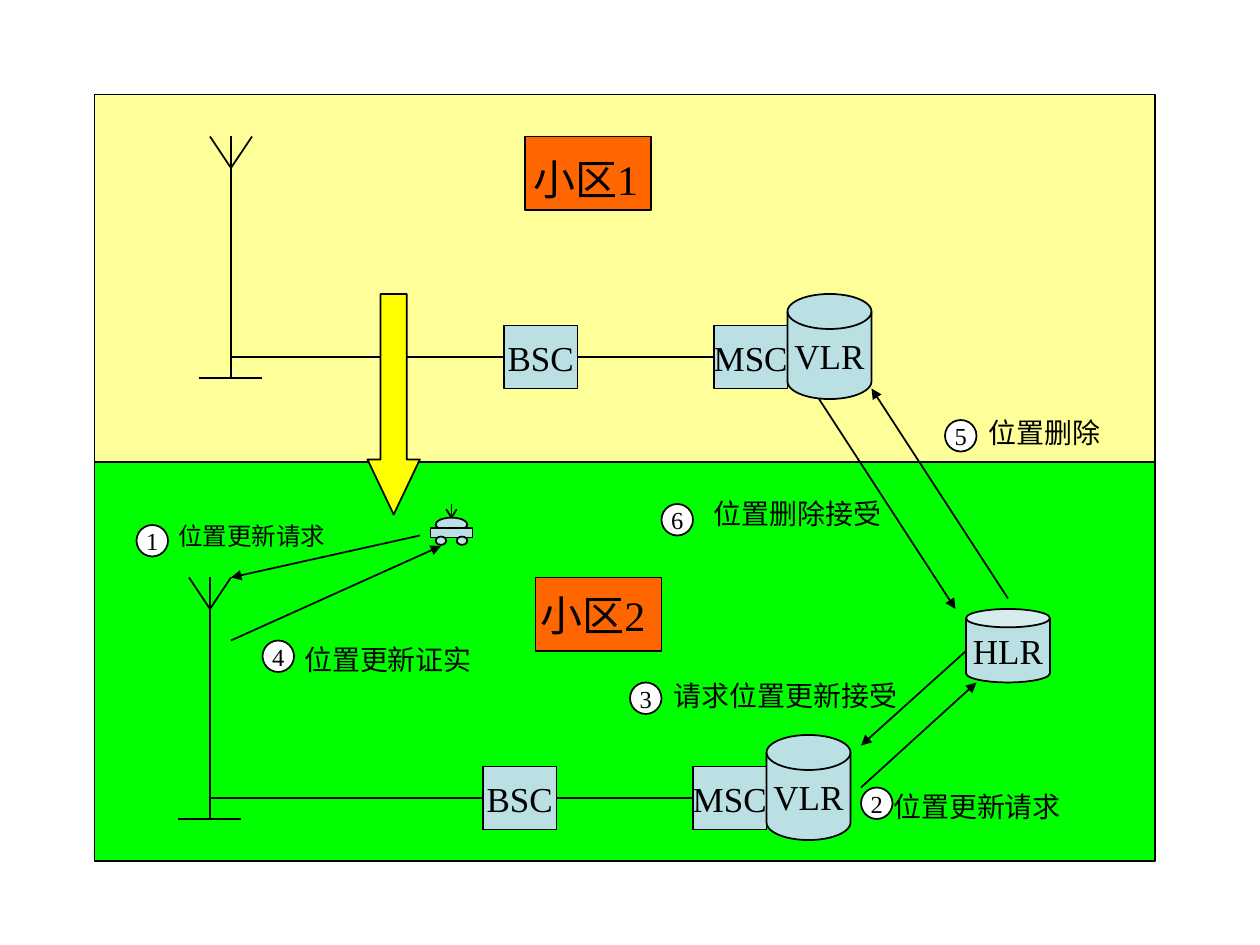
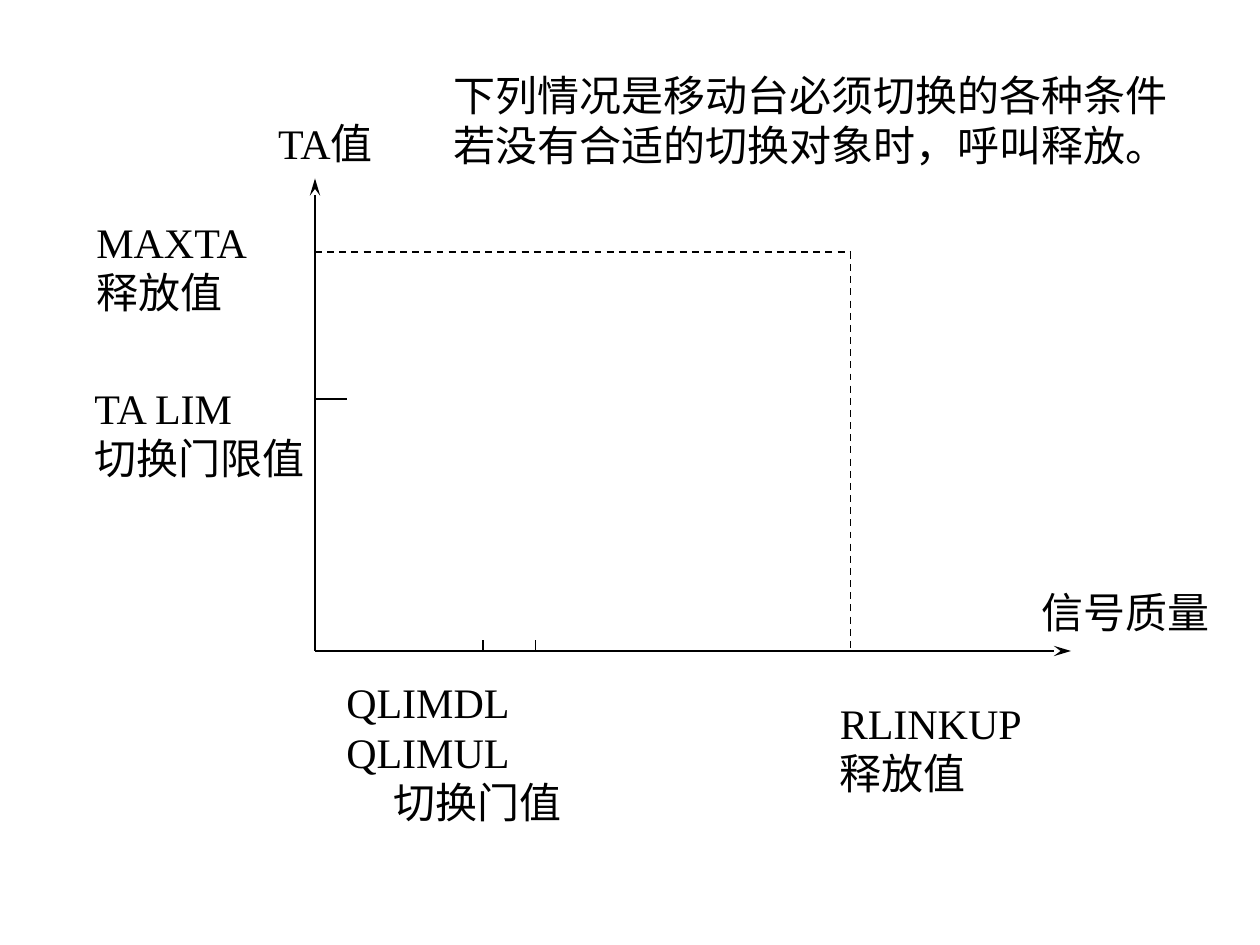
from lxml import etree
from pptx import Presentation
from pptx.dml.color import RGBColor
from pptx.enum.dml import MSO_LINE
from pptx.enum.shapes import MSO_CONNECTOR, MSO_SHAPE
from pptx.enum.text import MSO_ANCHOR, MSO_AUTO_SIZE, PP_ALIGN
from pptx.oxml.ns import qn
from pptx.util import Pt

PX = 7620
FONT = "Times New Roman"
BLACK = RGBColor(0x00, 0x00, 0x00)
WHITE = RGBColor(0xFF, 0xFF, 0xFF)
PALE_YELLOW = RGBColor(0xFF, 0xFF, 0x99)
GREEN = RGBColor(0x00, 0xFF, 0x00)
ORANGE = RGBColor(0xFF, 0x66, 0x00)
YELLOW = RGBColor(0xFF, 0xFF, 0x00)
PALE_BLUE = RGBColor(0xBB, 0xE0, 0xE3)

RECT = MSO_SHAPE.RECTANGLE
OVAL = MSO_SHAPE.OVAL
CAN = MSO_SHAPE.CAN
DISK = MSO_SHAPE.FLOWCHART_MAGNETIC_DISK
DOWN_ARROW = MSO_SHAPE.DOWN_ARROW
STRAIGHT = MSO_CONNECTOR.STRAIGHT
DASH = MSO_LINE.DASH
CENTER = PP_ALIGN.CENTER
LEFT = PP_ALIGN.LEFT
MIDDLE = MSO_ANCHOR.MIDDLE
FIT_TEXT = MSO_AUTO_SIZE.SHAPE_TO_FIT_TEXT
BLANK_LAYOUT = 6
SIGNAL_HEAD = {"type": "triangle"}
AXIS_HEAD = {"type": "stealth", "len": "lg"}

STEPS = [
    ("1", (130, 500), "位置更新请求", (158, 490, 164, 41), 14, (400, 510, 220, 550)),
    ("2", (820, 750), "位置更新请求", (839, 746, 184, 44), 16, (820, 750, 930, 650)),
    ("3", (600, 650), "请求位置更新接受", (630, 640, 238, 44), 16, (920, 620, 820, 710)),
    ("4", (250, 610), "位置更新证实", (278, 606, 184, 44), 16, (220, 610, 420, 520)),
    ("5", (900, 400), "位置删除", (930, 390, 131, 44), 16, (960, 570, 830, 370)),
    ("6", (630, 480), "位置删除接受", (668, 467, 185, 44), 16, (780, 380, 910, 580)),
]
AXIS_LABELS = [
    (["TA值"], (253, 106, 128, 60), False),
    (["MAXTA", "释放值"], (80, 200, 192, 108), True),
    (["TA LIM", "切换门限值"], (78, 358, 225, 156), True),
    (["RLINKUP", "释放值"], (788, 658, 198, 108), False),
    (["信号质量"], (980, 553, 184, 60), False),
]


def emu(lengths):
    """Turn px lengths into EMU."""
    return [length * PX for length in lengths]


def write(frame, lines, size, align=LEFT, wrap=False):
    """Fill a text frame with one paragraph per line."""
    frame.word_wrap = wrap
    frame.text = "\n".join(lines)
    for paragraph in frame.paragraphs:
        paragraph.alignment = align
        paragraph.font.name = FONT
        paragraph.font.size = Pt(size)
        paragraph.font.color.rgb = BLACK


def add_label(shapes, lines, box, size=24, wrap=False):
    """Add a text box that fits its text and return its frame."""
    frame = shapes.add_textbox(*emu(box)).text_frame
    write(frame, lines, size, wrap=wrap)
    frame.auto_size = FIT_TEXT
    return frame


def add_block(shapes, kind, box, fill, text="", size=20):
    """Add an outlined shape, with centred text if given."""
    block = shapes.add_shape(kind, *emu(box))
    block.shadow.inherit = False
    block.fill.solid()
    block.fill.fore_color.rgb = fill
    block.line.color.rgb = BLACK
    block.line.width = Pt(1)
    if text:
        block.text_frame.vertical_anchor = MIDDLE
        write(block.text_frame, [text], size, CENTER)
    return block


def add_line(shapes, ends, arrowhead=None, dash=None):
    """Add a black line with an optional arrowhead at its end."""
    connector = shapes.add_connector(STRAIGHT, *emu(ends))
    connector.line.color.rgb = BLACK
    connector.line.width = Pt(1)
    if dash:
        connector.line.dash_style = dash
    if arrowhead:
        outline = connector.line._get_or_add_ln()
        etree.SubElement(outline, qn("a:tailEnd"), arrowhead)
    etree.SubElement(connector._element.spPr, qn("a:effectLst"))


def add_aerial(shapes, x, top, spread, arm_top, joint):
    """Add two arms that meet on a mast at x."""
    for side in (-spread, spread):
        add_line(shapes, (x + side, top + arm_top, x, top + joint))


def add_cell(shapes, box, fill, sign_left, sign_top):
    """Add a cell's area and the plate for its name."""
    left, top, _, _ = box
    add_block(shapes, RECT, box, fill)
    add_block(shapes, RECT, (left + sign_left, top + sign_top, 120, 70), ORANGE)


def add_network(shapes, left, top):
    """Add a mast and the chain of BSC, MSC and VLR."""
    mast = left + 30
    wire = top + 210
    add_line(shapes, (mast, top, mast, top + 230))
    add_aerial(shapes, mast, top, 20, 0, 30)
    add_line(shapes, (left, top + 230, left + 60, top + 230))
    add_line(shapes, (mast, wire, left + 290, wire))
    add_line(shapes, (left + 360, wire, left + 490, wire))
    for name, offset in (("BSC", 290), ("MSC", 490)):
        add_block(shapes, RECT, (left + offset, top + 180, 70, 60), PALE_BLUE, name)
    add_block(shapes, DISK, (left + 560, top + 150, 80, 100), PALE_BLUE, "VLR")


def add_car(shapes, left, top):
    """Add the mobile station as a grouped car with an aerial."""
    car = shapes.add_group_shape().shapes
    parts = [
        (OVAL, 5, 13, 30, 13),
        (RECT, 0, 23, 40, 9),
        (OVAL, 5, 31, 10, 8),
        (OVAL, 25, 31, 10, 8),
    ]
    for kind, x, y, width, height in parts:
        add_block(car, kind, (left + x, top + y, width, height), PALE_BLUE)
    add_line(car, (left + 20, top, left + 20, top + 13))
    add_aerial(car, left + 20, top, 5, 5, 13)


def add_step(shapes, number, badge, caption, caption_box, size, arrow):
    """Add one signalling step: arrow, numbered badge and caption."""
    add_line(shapes, arrow, SIGNAL_HEAD)
    add_block(shapes, OVAL, (*badge, 30, 30), WHITE, number, 14)
    add_label(shapes, [caption], caption_box, size)


def build_location_update(shapes):
    """Build the slide on location update between two cells."""
    add_cell(shapes, (90, 440, 1010, 380), GREEN, 420, 110)
    add_cell(shapes, (90, 90, 1010, 350), PALE_YELLOW, 410, 40)
    add_label(shapes, ["小区1"], (496, 140, 134, 60))
    add_label(shapes, ["小区2"], (503, 556, 134, 60))
    add_network(shapes, 190, 130)
    add_network(shapes, 170, 550)
    add_car(shapes, 410, 480)
    register = add_block(shapes, CAN, (920, 580, 80, 70), PALE_BLUE, "HLR")
    register.adjustments[0] = 0.25
    movement = add_block(shapes, DOWN_ARROW, (350, 280, 50, 210), YELLOW)
    movement.adjustments[0] = 0.5
    movement.adjustments[1] = 1.05
    for step in STEPS:
        add_step(shapes, *step)


def add_axes(shapes, left, top, width, height):
    """Add the axes, threshold ticks and dashed release limits."""
    bottom = top + height
    release_x, release_y = left + 510, top + 70
    add_line(shapes, (left, bottom, left + width, bottom), AXIS_HEAD)
    add_line(shapes, (left, bottom, left, top), AXIS_HEAD)
    add_line(shapes, (left, release_y, release_x, release_y), dash=DASH)
    add_line(shapes, (release_x, release_y, release_x, bottom), dash=DASH)
    add_line(shapes, (left, top + 210, left + 30, top + 210))
    for tick in (left + 160, left + 210):
        add_line(shapes, (tick, bottom - 10, tick, bottom))


def build_handover_limits(shapes):
    """Build the slide on handover and release limits."""
    add_axes(shapes, 300, 170, 720, 450)
    conditions = ["下列情况是移动台必须切换的各种条件", "若没有合适的切换对象时，呼叫释放。"]
    add_label(shapes, conditions, (420, 60, 705, 108))
    for lines, box, wrap in AXIS_LABELS:
        add_label(shapes, lines, box, wrap=wrap)
    thresholds = add_label(
        shapes, ["QLIMDL", "QLIMUL", "切换门值"], (318, 638, 365, 156), wrap=True
    )
    indented = thresholds.paragraphs[-1]._p.get_or_add_pPr()
    indented.set("marL", str(45 * PX))


def main():
    """Build and save the presentation."""
    deck = Presentation()
    deck.slide_width, deck.slide_height = emu((1200, 900))
    for build in (build_location_update, build_handover_limits):
        build(deck.slides.add_slide(deck.slide_layouts[BLANK_LAYOUT]).shapes)
    deck.save("out.pptx")


if __name__ == "__main__":
    main()
